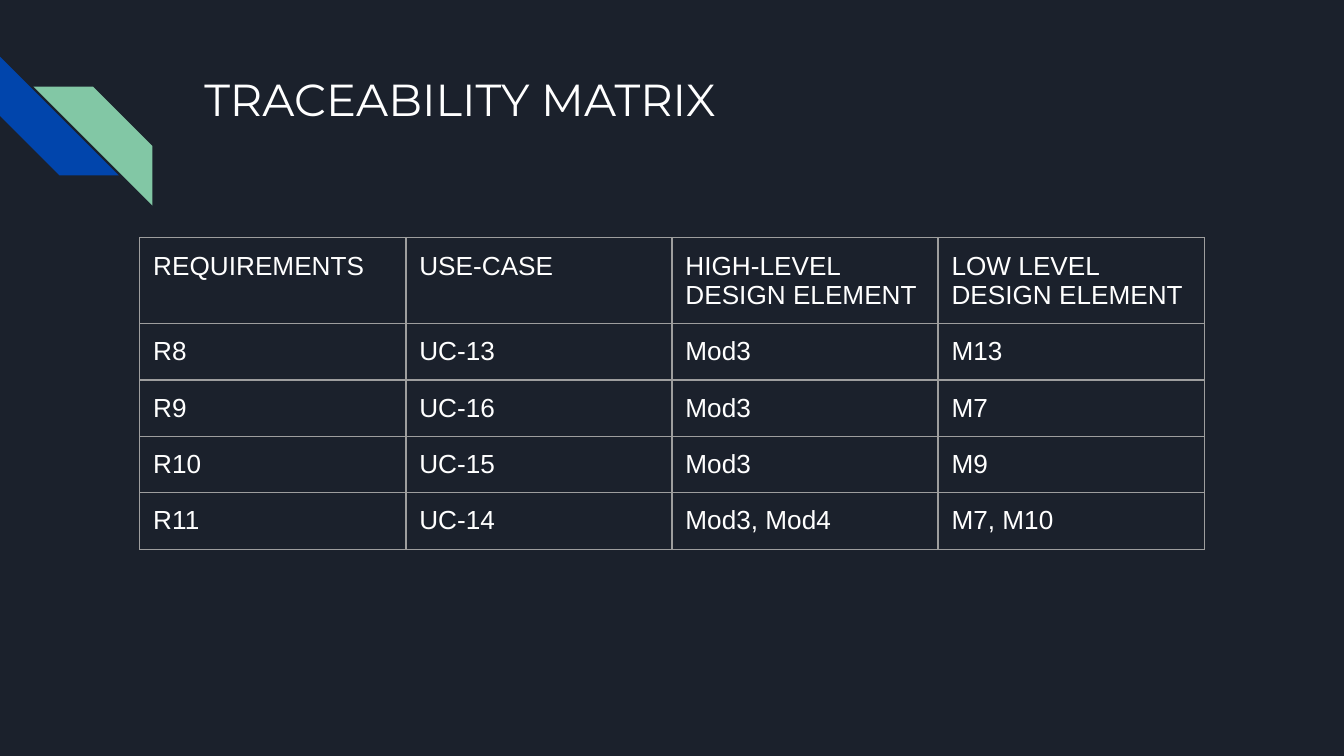
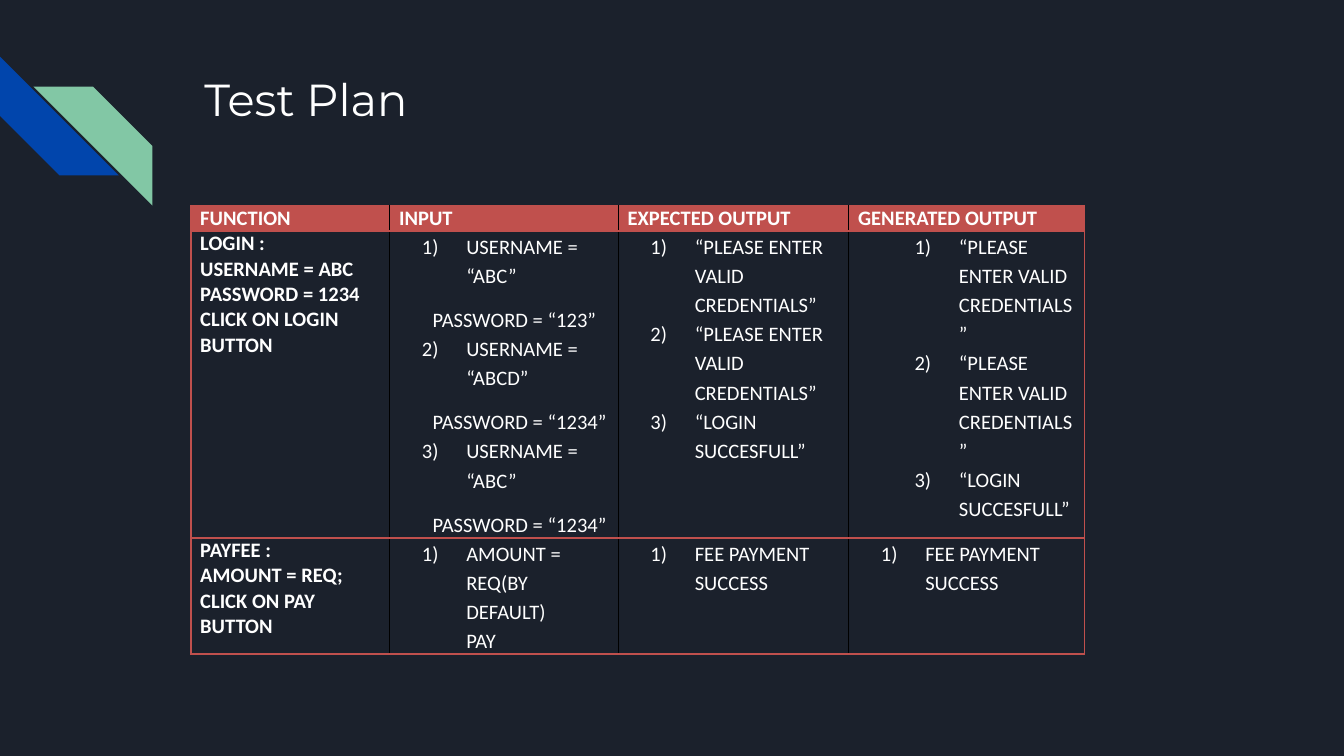
from dataclasses import dataclass
from typing import Callable, NamedTuple, Optional

from lxml.etree import SubElement as sub
from pptx import Presentation
from pptx.dml.color import RGBColor as Rgb
from pptx.enum.shapes import MSO_SHAPE as Kind
from pptx.enum.text import MSO_ANCHOR as Anchor, PP_ALIGN as Align
from pptx.oxml.ns import qn
from pptx.util import Pt

PX = 4572  # 200 px to the inch


def px(n: int) -> int:
    return n * PX


# Colours, fonts and type sizes
@dataclass(frozen=True)
class Theme:
    back: str = "1B212C"
    ink: str = "FFFFFF"
    blue: str = "0145AC"
    green: str = "82C7A5"
    grey: str = "9E9E9E"
    red: str = "C0504D"
    black: str = "000000"
    head: str = "Montserrat"
    sans: str = "Arial"
    body: str = "Calibri"
    big: int = 24
    mid: int = 14
    small: int = 11


T = Theme()


class Stripe(NamedTuple):
    left: int
    top: int
    fill: str
    turn: int = 0
    flip: bool = False


class Para(NamedTuple):
    text: str
    left: int = 0
    hang: int = 0
    lead: Optional[float] = None
    pre: Optional[int] = None
    post: Optional[int] = None


class Edge(NamedTuple):
    color: str
    width: float


class Style(NamedTuple):
    font: str
    size: int
    inset: tuple[int, int]
    edge: Callable[[str, int, int], Edge]
    band: Optional[str] = None
    bold: bool = False  # bold header row and first column


class Grid(NamedTuple):
    left: int
    top: int
    cols: list[int]
    rows: list[int]
    cells: list[list[list[Para]]]
    style: Style


STRIPES = [Stripe(0, 84, T.blue, turn=270), Stripe(50, 129, T.green, flip=True)]
SIDE = 177


# Shared drawing
def draw_stripe(slide, s: Stripe) -> None:
    shape = slide.shapes.add_shape(Kind.DIAGONAL_STRIPE, px(s.left), px(s.top),
                                   px(SIDE), px(SIDE))
    shape.shadow.inherit = False
    shape.fill.solid()
    shape.fill.fore_color.rgb = Rgb.from_string(s.fill)
    shape.line.fill.background()
    shape.rotation = s.turn
    if s.flip:
        shape._element.spPr.find(qn("a:xfrm")).set("flipH", "1")


def set_font(para, name: str, size: int, bold: bool = False) -> None:
    font = para.font
    font.name, font.size, font.bold = name, Pt(size), bold
    font.color.rgb = Rgb.from_string(T.ink)


def add_page(deck, text: str):
    slide = deck.slides.add_slide(deck.slide_layouts[5])
    slide.background.fill.solid()
    slide.background.fill.fore_color.rgb = Rgb.from_string(T.back)
    for s in STRIPES:
        draw_stripe(slide, s)
    title = slide.shapes.title
    title.left, title.top, title.width, title.height = map(px, (284, 87, 1540, 200))
    frame = title.text_frame
    frame.text = text
    frame.word_wrap = True
    frame.vertical_anchor = Anchor.TOP
    frame.margin_left = frame.margin_right = px(20)
    frame.margin_top = frame.margin_bottom = px(20)
    para = frame.paragraphs[0]
    para.alignment = Align.LEFT
    set_font(para, T.head, T.big)
    return slide


# Tables
def add_fill(node, color: str, tag: str = "a:solidFill") -> None:
    sub(sub(node, qn(tag)), qn("a:srgbClr"), val=color)


def set_edges(cell, row: int, col: int, style: Style) -> None:
    props = cell._tc.get_or_add_tcPr()
    for spot, side in enumerate("LRTB"):
        edge = style.edge(side, row, col)
        line = props.makeelement(qn(f"a:ln{side}"), {"w": str(Pt(edge.width))})
        add_fill(line, edge.color)
        props.insert(spot, line)


def write(para, p: Para, style: Style, bold: bool) -> None:
    para.text = p.text
    para.alignment = Align.LEFT
    para.line_spacing = p.lead
    para.space_before = None if p.pre is None else Pt(p.pre)
    para.space_after = None if p.post is None else Pt(p.post)
    props = para._p.get_or_add_pPr()
    props.set("marL", str(px(p.left)))
    props.set("indent", str(px(-p.hang)))
    if p.hang:
        add_fill(props, T.ink, "a:buClr")
        sub(props, qn("a:buAutoNum"), type="arabicParenR")
    else:
        sub(props, qn("a:buNone"))
    set_font(para, style.font, style.size, bold)


def fill_cell(cell, paras: list[Para], row: int, col: int, style: Style) -> None:
    cell.margin_left = cell.margin_right = px(style.inset[0])
    cell.margin_top = cell.margin_bottom = px(style.inset[1])
    if style.band and row == 0:
        cell.fill.solid()
        cell.fill.fore_color.rgb = Rgb.from_string(style.band)
    else:
        cell.fill.background()
    set_edges(cell, row, col, style)
    frame = cell.text_frame
    for i, p in enumerate(paras):
        para = frame.add_paragraph() if i else frame.paragraphs[0]
        write(para, p, style, style.bold and 0 in (row, col))


def draw_grid(slide, g: Grid) -> None:
    table = slide.shapes.add_table(len(g.rows), len(g.cols), px(g.left), px(g.top),
                                   px(sum(g.cols)), px(sum(g.rows))).table
    table.first_row = table.horz_banding = False
    for col, width in zip(table.columns, g.cols):
        col.width = px(width)
    for row, height in zip(table.rows, g.rows):
        row.height = px(height)
    for r, line in enumerate(g.cells):
        for c, paras in enumerate(line):
            fill_cell(table.cell(r, c), paras, r, c, g.style)


def plain(*lines: str) -> list[Para]:
    return [Para(line) for line in lines]


# Traceability matrix
TRACE = [
    ["REQUIREMENTS", "USE-CASE", "HIGH-LEVEL DESIGN ELEMENT", "LOW LEVEL DESIGN ELEMENT"],
    ["R8", "UC-13", "Mod3", "M13"],
    ["R9", "UC-16", "Mod3", "M7"],
    ["R10", "UC-15", "Mod3", "M9"],
    ["R11", "UC-14", "Mod3, Mod4", "M7, M10"],
]


def trace_edge(side: str, row: int, col: int) -> Edge:
    return Edge(T.grey, 0.75)


def trace_grid() -> Grid:
    cells = [[plain(text) for text in line] for line in TRACE]
    style = Style(T.sans, T.mid, (20, 20), trace_edge)
    return Grid(208, 354, [396] * 4, [84] * len(TRACE), cells, style)


# Test plan
HEADS = ["FUNCTION", "INPUT", "EXPECTED OUTPUT", "GENERATED OUTPUT"]
LOGINS = [("ABC", "123"), ("ABCD", "1234"), ("ABC", "1234")]
REPLIES = ["“PLEASE ENTER VALID CREDENTIALS”"] * 2 + ["“LOGIN SUCCESFULL”"]


def item(text: str, left: int = 100, post: Optional[int] = None) -> Para:
    return Para(text, left, hang=66, lead=1.15, post=post)


def replies(left: int) -> list[Para]:
    *first, last = REPLIES
    return [item(text, left) for text in first] + [item(last, left, post=10)]


def login_steps() -> list[Para]:
    steps = []
    for user, word in LOGINS:
        steps += [item(f"USERNAME = “{user}”"),
                  Para(f"PASSWORD = “{word}”", left=50, pre=10)]
    return steps


def plan_edge(side: str, row: int, col: int) -> Edge:
    red = {"L": col == 0, "R": col == len(HEADS) - 1, "T": True, "B": row > 0}
    return Edge(T.red, 1) if red[side] else Edge(T.black, 0.5)


def plan_grid() -> Grid:
    paid = [item("FEE PAYMENT SUCCESS", post=10)]
    cells = [
        [plain(text) for text in HEADS],
        [plain("LOGIN :", "USERNAME = ABC", "PASSWORD = 1234", "CLICK ON LOGIN BUTTON"),
         login_steps(), replies(100), replies(150)],
        [plain("PAYFEE :", "AMOUNT = REQ;", "CLICK ON PAY BUTTON"),
         [item("AMOUNT = REQ(BY DEFAULT)"), Para("PAY", left=100, lead=1.15, post=10)],
         paid, paid],
    ]
    style = Style(T.body, T.small, (14, 0), plan_edge, band=T.red, bold=True)
    return Grid(284, 306, [296, 340, 343, 351], [2, 234, 2], cells, style)


def main() -> None:
    deck = Presentation()
    deck.slide_width, deck.slide_height = px(2000), px(1125)
    draw_grid(add_page(deck, "TRACEABILITY MATRIX"), trace_grid())
    draw_grid(add_page(deck, "Test Plan"), plan_grid())
    deck.save("out.pptx")


if __name__ == "__main__":
    main()
